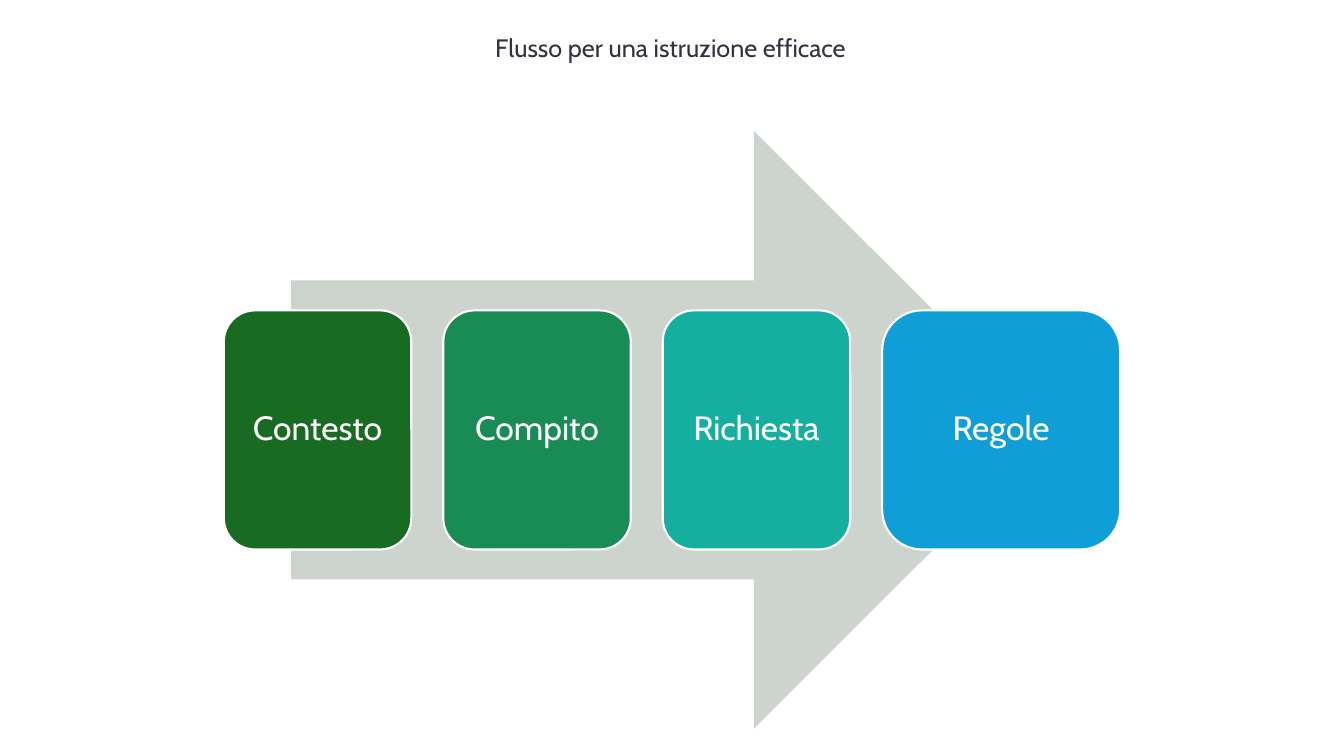
from pptx import Presentation, util as u
from pptx.dml.color import RGBColor
from pptx.enum import shapes, text

WIDE, HIGH = 13.33, 7.5
FONT = "Cabin"
STEPS = [
    ("Contesto", "196B24", 1.86),
    ("Compito", "188C54", 1.86),
    ("Richiesta", "15AF9F", 1.86),
    ("Regole", "0F9ED5", 2.36),
]


def color(code):
    return RGBColor.from_string(code)


def write(frame, words, size, code, **form):
    form = {"word_wrap": True, **form}
    for key, value in form.items():
        setattr(frame, key, value)
    para = frame.paragraphs[0]
    para.alignment = text.PP_ALIGN.CENTER
    run = para.add_run()
    run.text = words
    for key, value in {"name": FONT, "size": u.Pt(size)}.items():
        setattr(run.font, key, value)
    run.font.color.rgb = color(code)
    return para


def block(slide, kind, box, fill, edge=None):
    shape = slide.shapes.add_shape(kind, *map(u.Inches, box))
    shape.shadow.inherit = False
    shape.fill.solid()
    shape.fill.fore_color.rgb = color(fill)
    if edge:
        shape.line.color.rgb = color(edge)
        shape.line.width = u.Pt(1.5)
    else:
        shape.line.fill.background()
    return shape


def title(slide, box):
    label = slide.shapes.add_textbox(*map(u.Inches, box))
    write(label.text_frame, "Flusso per una istruzione efficace", 18, "31333F",
          auto_size=text.MSO_AUTO_SIZE.SHAPE_TO_FIT_TEXT)


def flow(slide, box):
    left, top, width, height = box
    kinds = shapes.MSO_SHAPE
    inset = 0.075 * width
    block(slide, kinds.RIGHT_ARROW,
          (left + inset, top, width - 2 * inset, height), "CCD4CD")
    tall = 0.4 * height
    gap = (width - sum(step[2] for step in STEPS)) / (len(STEPS) - 1)
    for name, fill, wide in STEPS:
        card = block(slide, kinds.ROUNDED_RECTANGLE,
                     (left, top + (height - tall) / 2, wide, tall), fill, "FFFFFF")
        para = write(card.text_frame, name, 24, "FFFFFF",
                     vertical_anchor=text.MSO_ANCHOR.MIDDLE)
        para.line_spacing = 0.9
        left += wide + gap


def main():
    deck = Presentation()
    deck.slide_width, deck.slide_height = u.Inches(WIDE), u.Inches(HIGH)
    slide = deck.slides.add_slide(deck.slide_layouts[6])
    title(slide, (0.13, 0.27, 13.04, 0.4))
    flow(slide, (2.22, 1.3, 8.89, 5.93))
    deck.save("out.pptx")


if __name__ == "__main__":
    main()
